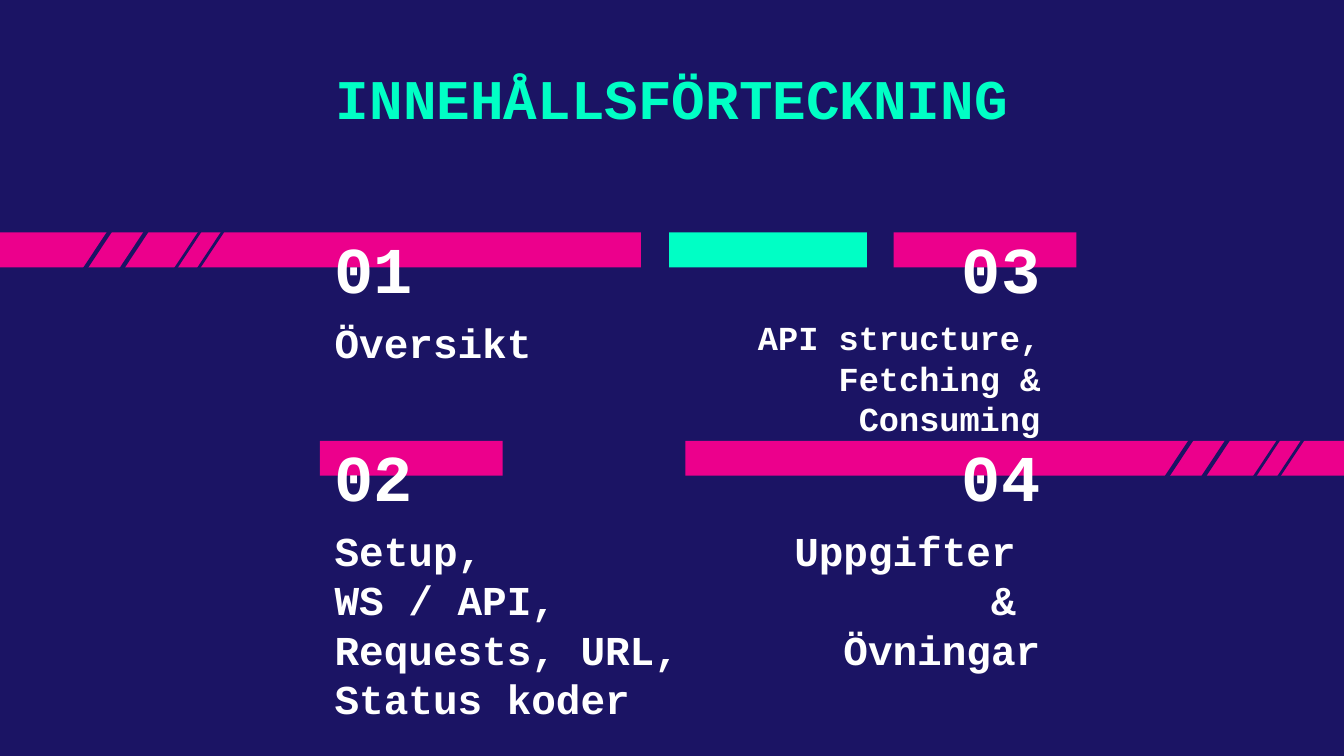
from pptx import Presentation
from pptx.dml.color import RGBColor
from pptx.enum.shapes import MSO_CONNECTOR, MSO_SHAPE
from pptx.enum.text import MSO_ANCHOR, MSO_AUTO_SIZE, PP_ALIGN
from pptx.oxml.ns import qn
from pptx.util import Inches, Pt

RECTANGLE = MSO_SHAPE.RECTANGLE
STRAIGHT = MSO_CONNECTOR.STRAIGHT
TOP, BOTTOM = MSO_ANCHOR.TOP, MSO_ANCHOR.BOTTOM
LEFT, CENTER, RIGHT = PP_ALIGN.LEFT, PP_ALIGN.CENTER, PP_ALIGN.RIGHT
NO_AUTOFIT = MSO_AUTO_SIZE.NONE

NAVY = RGBColor(0x1B, 0x14, 0x64)
PINK = RGBColor(0xEC, 0x00, 0x8C)
MINT = RGBColor(0x00, 0xFF, 0xC5)
WHITE = RGBColor(0xFF, 0xFF, 0xFF)
FONT = "Courier New"

COMPARISON_LAYOUT = 4
SLIDE_WIDTH = Inches(10)
SLIDE_HEIGHT = SLIDE_WIDTH * 9 // 16
ROW_TOPS = (1.73, 3.28)
BAR_HEIGHT = 0.26
SLASH_WIDTH, SLASH_HEIGHT = 0.57, 0.86

# Row, left, width, colour
BARS = [
    (0, 0, 4.77, PINK),
    (0, 6.65, 1.36, PINK),
    (1, 2.38, 1.36, PINK),
    (1, 5.1, 4.9, PINK),
    (0, 4.98, 1.47, MINT),
]

# Right end, top, line width
SLASHES = [
    (1.03, 1.4, 2.25), (1.19, 1.57, 2.25), (1.53, 1.66, 1.5), (1.7, 1.66, 1.5),
    (9.25, 2.69, 2.25), (9.41, 2.86, 2.25), (9.57, 3.19, 1.5), (9.75, 3.19, 1.5),
]

# Number, row, alignment, text width, text size, paragraphs
SECTIONS = [
    ("01", 0, LEFT, 2.37, 22, ["Översikt"]),
    ("02", 1, LEFT, 3.38, 22,
     ["Setup,", "WS / API,", "Requests, URL,", "Status koder"]),
    ("03", 0, RIGHT, 3.15, 18, ["API structure,", "Fetching & Consuming"]),
    ("04", 1, RIGHT, 2.37, 22, ["Uppgifter \v& \vÖvningar"]),
]
LEFT_EDGE, RIGHT_EDGE = 2.39, 7.84
NUMBER_WIDTH = 2.37


def place(shape, left, top, width, height):
    shape.left, shape.top = Inches(left), Inches(top)
    shape.width, shape.height = Inches(width), Inches(height)


def write_text(shape, lines, size, color, alignment, anchor=TOP, inset=0):
    frame = shape.text_frame
    frame.word_wrap = True
    frame.auto_size = NO_AUTOFIT
    frame.vertical_anchor = anchor
    frame.margin_left = frame.margin_right = Inches(0.1)
    frame.margin_top = frame.margin_bottom = Inches(inset)
    frame.text = "\n".join(lines)
    for paragraph in frame.paragraphs:
        paragraph.alignment = alignment
        paragraph.space_before = Pt(0)
        # Plain paragraphs: no bullet and no hanging indent
        properties = paragraph._p.get_or_add_pPr()
        properties.set("marL", "0")
        properties.set("indent", "0")
        properties.append(properties.makeelement(qn("a:buNone"), {}))
        font = paragraph.font
        font.name, font.size, font.bold = FONT, Pt(size), True
        font.color.rgb = color


def add_bar(slide, row, left, width, color):
    bar = slide.shapes.add_shape(
        RECTANGLE, Inches(left), Inches(ROW_TOPS[row]),
        Inches(width), Inches(BAR_HEIGHT))
    bar.shadow.inherit = False
    bar.fill.solid()
    bar.fill.fore_color.rgb = color
    bar.line.fill.background()


def add_slash(slide, right, top, width):
    slash = slide.shapes.add_connector(
        STRAIGHT, Inches(right), Inches(top),
        Inches(right - SLASH_WIDTH), Inches(top + SLASH_HEIGHT))
    slash.line.color.rgb = NAVY
    slash.line.width = Pt(width)
    properties = slash._element.spPr
    properties.append(properties.makeelement(qn("a:effectLst"), {}))


def add_section(slide, body, number, row, alignment, width, size, lines):
    def left_for(box_width):
        return LEFT_EDGE if alignment == LEFT else RIGHT_EDGE - box_width

    top = ROW_TOPS[row]
    number_box = slide.shapes.add_textbox(0, 0, 0, 0)
    place(number_box, left_for(NUMBER_WIDTH), top + 0.29, NUMBER_WIDTH, 0.26)
    write_text(number_box, [number], 35, WHITE, alignment, BOTTOM)
    place(body, left_for(width), top + 0.63, width, 0.47)
    write_text(body, lines, size, WHITE, alignment)


def main():
    presentation = Presentation()
    presentation.slide_width = SLIDE_WIDTH
    presentation.slide_height = SLIDE_HEIGHT
    slide = presentation.slides.add_slide(
        presentation.slide_layouts[COMPARISON_LAYOUT])
    slide.background.fill.solid()
    slide.background.fill.fore_color.rgb = NAVY

    # Bars with diagonal cuts
    for bar in BARS:
        add_bar(slide, *bar)
    for slash in SLASHES:
        add_slash(slide, *slash)

    # Title
    title = slide.shapes.title
    place(title, 1.4, 0.37, 7.2, 0.73)
    write_text(title, ["INNEHÅLLSFÖRTECKNING"], 30, MINT, CENTER, inset=0.1)

    # Numbered sections, one body placeholder each
    bodies = [shape for shape in slide.placeholders
              if shape.placeholder_format.idx in (1, 2, 3, 4)]
    for body, section in zip(bodies, SECTIONS):
        add_section(slide, body, *section)

    # Keep the placeholders in front of the bars
    for placeholder in [title, *bodies]:
        slide.shapes._spTree.append(placeholder._element)

    presentation.save("out.pptx")


if __name__ == "__main__":
    main()
